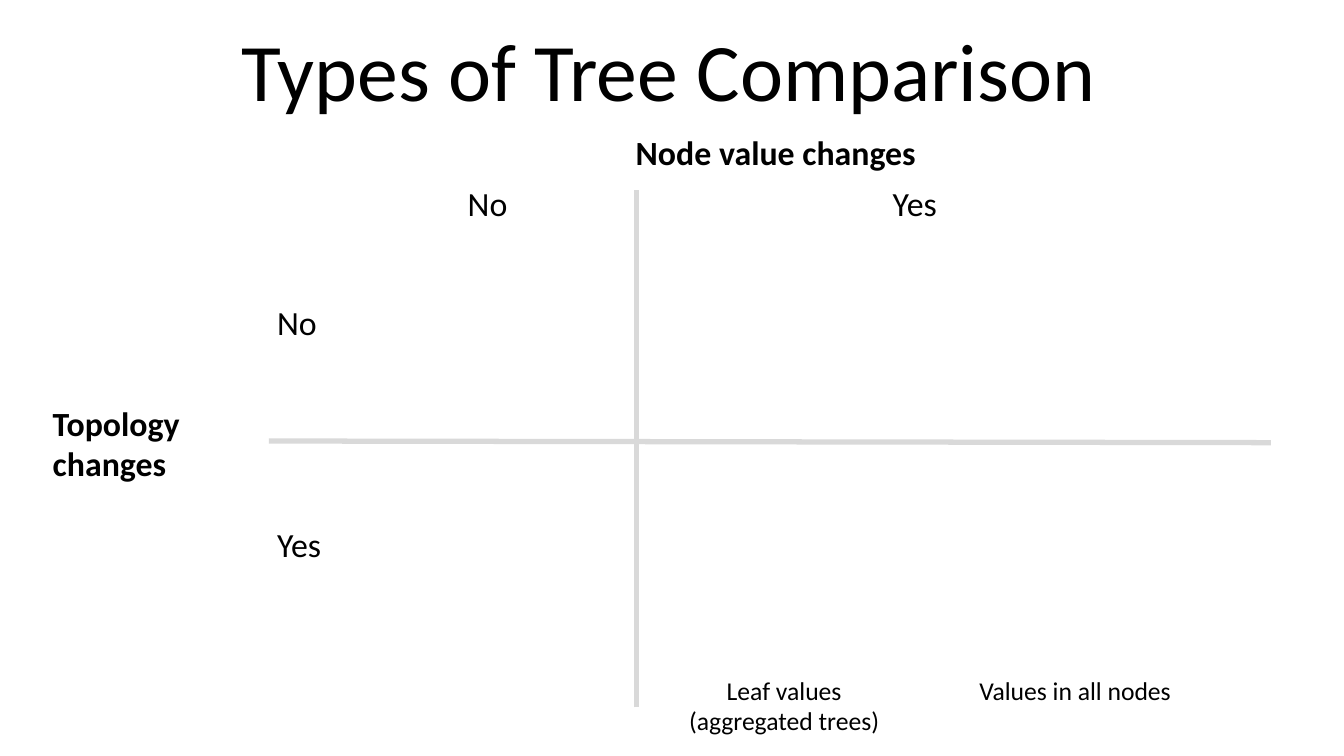
"""Build a slide that sorts tree comparisons by topology and node value changes."""
from dataclasses import dataclass

from lxml.etree import SubElement
from pptx import Presentation
from pptx.dml.color import RGBColor
from pptx.enum.shapes import MSO_CONNECTOR as Connector
from pptx.enum.text import MSO_ANCHOR as Anchor, MSO_AUTO_SIZE as AutoSize, PP_ALIGN as Align
from pptx.oxml.ns import qn
from pptx.slide import Slide
from pptx.util import Inches, Pt

COLUMNS, ROWS = 16, 9
WIDTH, HEIGHT = Inches(16), Inches(9)


@dataclass(frozen=True)
class Theme:
    font: str = "Calibri"
    ink: RGBColor = RGBColor(0x00, 0x00, 0x00)
    axis: RGBColor = RGBColor(0xD9, 0xD9, 0xD9)
    paper: RGBColor = RGBColor(0xFF, 0xFF, 0xFF)
    title: float = 70
    label: float = 29
    caption: float = 22
    axis_weight: float = 4.5


@dataclass(frozen=True)
class Label:
    text: str
    column: float
    row: float
    columns: float
    rows: float
    size: float
    bold: bool = False
    wrap: bool = True
    align: Align = Align.LEFT
    anchor: Anchor = Anchor.TOP
    fit: AutoSize = AutoSize.SHAPE_TO_FIT_TEXT
    inset: float = 0.1


@dataclass(frozen=True)
class Axis:
    start: tuple[float, float]
    end: tuple[float, float]


THEME = Theme()
LINE_ROWS = 0.59
NO_WIDTH, YES_WIDTH = 0.8, 0.93
HEADER_ROW, SIDE_COLUMN, CAPTION_ROW = 2.12, 3.2, 7.98

AXES = (
    Axis((SIDE_COLUMN, 5.25), (15.13, 5.27)),
    Axis((7.58, 8.42), (7.58, 2.26)),
)
LABELS = (
    Label("Types of Tree Comparison", 0.67, -0.08, 14.58, 1.8, THEME.title,
          align=Align.CENTER, anchor=Anchor.MIDDLE, fit=AutoSize.NONE, inset=0.16),
    Label("Topology\nchanges", 0.53, 4.74, 1.77, 1.08, THEME.label, bold=True, wrap=False),
    Label("Node value changes", 7.47, 1.52, 3.73, LINE_ROWS, THEME.label, bold=True),
    Label("No", SIDE_COLUMN, 3.54, NO_WIDTH, LINE_ROWS, THEME.label),
    Label("Yes", SIDE_COLUMN, 6.18, YES_WIDTH, LINE_ROWS, THEME.label),
    Label("No", 5.47, HEADER_ROW, NO_WIDTH, LINE_ROWS, THEME.label),
    Label("Yes", 10.53, HEADER_ROW, YES_WIDTH, LINE_ROWS, THEME.label),
    Label("Leaf values\n(aggregated trees)", 8.08, CAPTION_ROW, 2.51, 0.84, THEME.caption,
          wrap=False, align=Align.CENTER),
    Label("Values in all nodes", 11.54, CAPTION_ROW, 2.52, 0.47, THEME.caption,
          wrap=False, align=Align.CENTER),
)


def across(columns: float) -> int:
    """Turn grid columns into a length."""
    return round(WIDTH * columns / COLUMNS)


def down(rows: float) -> int:
    """Turn grid rows into a length."""
    return round(HEIGHT * rows / ROWS)


def draw_axis(page: Slide, axis: Axis) -> None:
    """Draw one dividing line of the matrix."""
    line = page.shapes.add_connector(
        Connector.STRAIGHT, across(axis.start[0]), down(axis.start[1]),
        across(axis.end[0]), down(axis.end[1]))
    line.line.color.rgb = THEME.axis
    line.line.width = Pt(THEME.axis_weight)
    SubElement(line._element.spPr, qn("a:effectLst"))


def draw_label(page: Slide, label: Label) -> None:
    """Draw one text box in the theme font."""
    box = page.shapes.add_textbox(
        across(label.column), down(label.row), across(label.columns), down(label.rows))
    frame = box.text_frame
    frame.text = label.text
    frame.word_wrap = label.wrap
    frame.auto_size = label.fit
    frame.vertical_anchor = label.anchor
    frame.margin_left = frame.margin_right = Inches(label.inset)
    frame.margin_top = frame.margin_bottom = Inches(label.inset / 2)
    for para in frame.paragraphs:
        para.alignment = label.align
        for span in para.runs:
            span.font.name = THEME.font
            span.font.size = Pt(label.size)
            span.font.bold = label.bold
            span.font.color.rgb = THEME.ink


def main() -> None:
    """Assemble and save the deck."""
    deck = Presentation()
    deck.slide_width, deck.slide_height = WIDTH, HEIGHT
    page = deck.slides.add_slide(deck.slide_layouts[6])
    page.background.fill.solid()
    page.background.fill.fore_color.rgb = THEME.paper
    for axis in AXES:
        draw_axis(page, axis)
    for label in LABELS:
        draw_label(page, label)
    deck.save("out.pptx")


if __name__ == "__main__":
    main()
